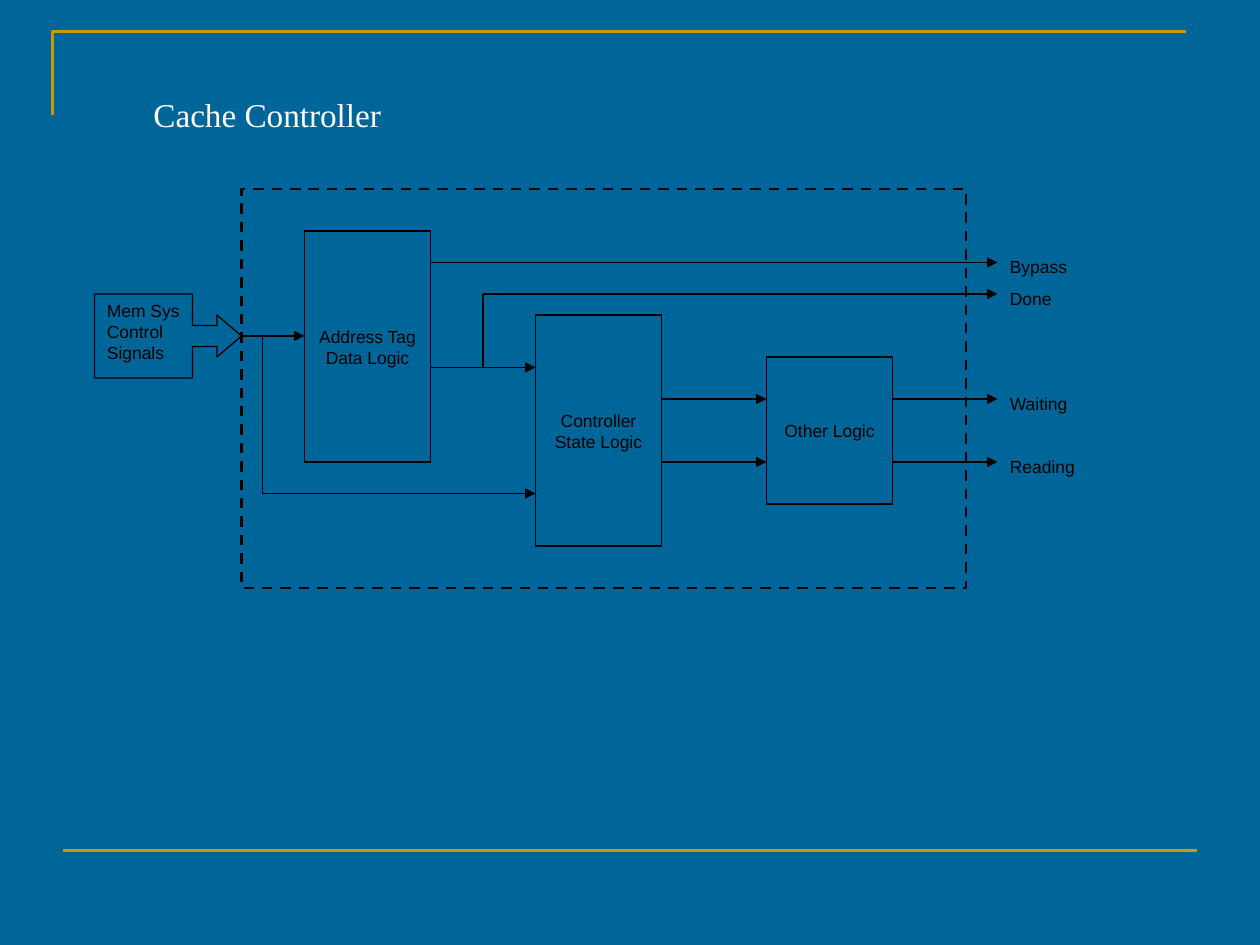
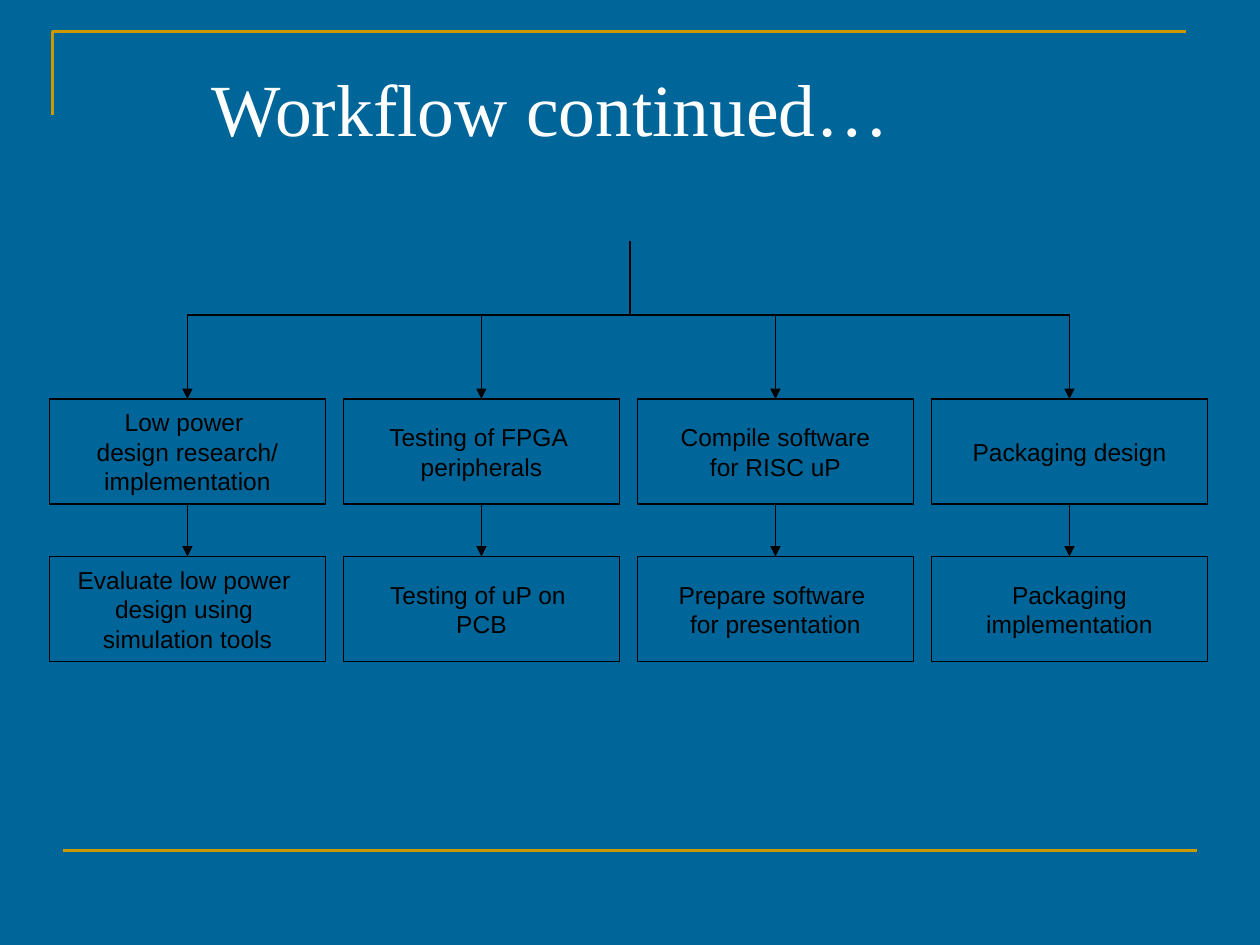
from pptx import Presentation
from pptx.dml.color import RGBColor
from pptx.enum import dml, shapes, text
from pptx.oxml import ns, xmlchemy
from pptx.util import Pt

COLORS = {"background": "006699", "frame": "CC9900", "ink": "000000", "title": "FFFFFF"}
SLIDE_SIZE = (720, 540)

# Boxes are (left, top, width, height); wires are (from x, from y, to x, to y).
CONTROLLER_TITLE = ("Cache Controller", (80.5, 52, 248, 36), 19)
CONTROLLER_BOUNDARY = (138, 108, 414, 228)
SIGNAL_SOURCE = ("Mem Sys Control Signals", (54, 168, 84, 48), (0.25, 0.25, 0.292, 0.667))
LOGIC_BLOCKS = [
    ("Address Tag Data Logic", (174, 132, 72, 132)),
    ("Controller State Logic", (306, 180, 72, 132)),
    ("Other Logic", (438, 204, 72, 84)),
]
PLAIN_WIRES = [(150, 192, 150, 282), (276, 168, 276, 210)]
ARROW_WIRES = [
    (138, 192, 174, 192),
    (246, 210, 306, 210),
    (150, 282, 306, 282),
    (378, 228, 438, 228),
    (378, 264, 438, 264),
]
OUTPUT_END = 570
OUTPUT_LABEL_SIZE = (60, 19.5)
OUTPUTS = [  # label, wire start, wire height
    ("Bypass", 246, 150),
    ("Done", 276, 168),
    ("Waiting", 510, 228),
    ("Reading", 510, 264),
]

WORKFLOW_TITLE = ("Workflow continued…", (113.75, 36, 468, 54), 42)
WORKFLOW_COLUMNS = [
    ("Low power \ndesign research/\nimplementation",
     "Evaluate low power \ndesign using \nsimulation tools"),
    ("Testing of FPGA \nperipherals", "Testing of uP on \nPCB"),
    ("Compile software\nfor RISC uP", "Prepare software \nfor presentation"),
    ("Packaging design", "Packaging\nimplementation"),
]
STEP_SIZE = (157.75, 60)
STEP_ORIGIN = (28.25, 228)
STEP_PITCH = (168, 90)
TRUNK = (360, 180, 360, 138)


def points(values):
    return [Pt(value) for value in values]


def rgb(name):
    return RGBColor.from_string(COLORS[name])


def write(shape, content, size, font="Arial", color="ink", align=text.PP_ALIGN.LEFT,
          anchor=text.MSO_ANCHOR.TOP, wrap=True, spacing=None):
    """Fill a shape with one paragraph for each line of content."""
    frame = shape.text_frame
    frame.text = content
    frame.word_wrap = wrap
    frame.auto_size = text.MSO_AUTO_SIZE.NONE
    frame.vertical_anchor = anchor
    for paragraph in frame.paragraphs:
        paragraph.alignment = align
        paragraph.line_spacing = spacing
        for run in paragraph.runs:
            run.font.name = font
            run.font.size = Pt(size)
            run.font.color.rgb = rgb(color)


def outline(shape, color="ink", width=0.75):
    shape.line.color.rgb = rgb(color)
    shape.line.width = Pt(width)


def add_box(slide, box, kind=shapes.MSO_SHAPE.RECTANGLE, width=0.75):
    shape = slide.shapes.add_shape(kind, *points(box))
    shape.shadow.inherit = False
    shape.fill.background()
    outline(shape, width=width)
    return shape


def add_block(slide, content, box, size, wrap=True):
    block = add_box(slide, box)
    write(block, content, size, align=text.PP_ALIGN.CENTER,
          anchor=text.MSO_ANCHOR.MIDDLE, wrap=wrap)
    return block


def add_wire(slide, ends, arrow=False, kind=shapes.MSO_CONNECTOR.STRAIGHT,
             color="ink", width=0.75):
    wire = slide.shapes.add_connector(kind, *points(ends))
    outline(wire, color, width)
    properties = wire.element.spPr
    if arrow:
        head = xmlchemy.OxmlElement("a:tailEnd")
        head.set("type", "triangle")
        properties.find(ns.qn("a:ln")).append(head)
    properties.append(xmlchemy.OxmlElement("a:effectLst"))
    return wire


def move_to_master(presentation, frame_parts):
    for shape_id, part in enumerate(frame_parts, start=101):
        part.element.xpath(".//p:cNvPr")[0].set("id", str(shape_id))
        presentation.slide_master.shapes.element.append(part.element)


def add_frame(presentation, slide):
    """Draw the gold corner and footer line once, for every slide."""
    builder = slide.shapes.build_freeform(Pt(30), Pt(66), scale=1.0)
    builder.add_line_segments([points((30, 18)), points((678, 18))], close=False)
    corner = builder.convert_to_shape()
    corner.shadow.inherit = False
    corner.fill.background()
    outline(corner, "frame", 1.5)
    footer = add_wire(slide, (36, 486, 684, 486), color="frame", width=1.5)
    move_to_master(presentation, [corner, footer])


def add_slide(presentation, title, box, size):
    slide = presentation.slides.add_slide(presentation.slide_layouts[5])
    heading = slide.shapes.title
    heading.left, heading.top, heading.width, heading.height = points(box)
    write(heading, title, size, font="Times New Roman", color="title", spacing=0.95)
    return slide


def draw_controller(slide):
    boundary = add_box(slide, CONTROLLER_BOUNDARY, width=1.5)
    boundary.line.dash_style = dml.MSO_LINE.DASH
    for label, box in LOGIC_BLOCKS:
        add_block(slide, label, box, 10)
    for ends in PLAIN_WIRES:
        add_wire(slide, ends)
    for ends in ARROW_WIRES:
        add_wire(slide, ends, arrow=True)
    for label, start, height in OUTPUTS:
        add_wire(slide, (start, height, OUTPUT_END, height), arrow=True)
        label_box = slide.shapes.add_textbox(
            *points((OUTPUT_END, height - 7, *OUTPUT_LABEL_SIZE)))
        write(label_box, label, 10)
    label, box, adjustments = SIGNAL_SOURCE
    source = add_box(slide, box, shapes.MSO_SHAPE.RIGHT_ARROW_CALLOUT)
    for index, value in enumerate(adjustments):
        source.adjustments[index] = value
    write(source, label, 10)


def draw_workflow(slide):
    add_wire(slide, TRUNK)
    fork_x, fork_y = TRUNK[:2]
    width, height = STEP_SIZE
    for column, labels in enumerate(WORKFLOW_COLUMNS):
        left = STEP_ORIGIN[0] + column * STEP_PITCH[0]
        center = left + width / 2
        tops = [STEP_ORIGIN[1] + row * STEP_PITCH[1] for row in range(len(labels))]
        first, second = [add_block(slide, label, (left, top, width, height), 14, wrap=False)
                         for label, top in zip(labels, tops)]
        branch = add_wire(slide, (fork_x, fork_y, center, tops[0]), arrow=True,
                          kind=shapes.MSO_CONNECTOR.ELBOW)
        branch.element.spPr.find(ns.qn("a:prstGeom")).set("prst", "bentConnector2")
        branch.end_connect(first, 0)
        link = add_wire(slide, (center, tops[0] + height, center, tops[1]), arrow=True)
        link.begin_connect(first, 2)
        link.end_connect(second, 0)


def main():
    presentation = Presentation()
    presentation.slide_width, presentation.slide_height = points(SLIDE_SIZE)
    background = presentation.slide_master.background.fill
    background.solid()
    background.fore_color.rgb = rgb("background")

    controller = add_slide(presentation, *CONTROLLER_TITLE)
    add_frame(presentation, controller)
    draw_controller(controller)
    draw_workflow(add_slide(presentation, *WORKFLOW_TITLE))
    presentation.save("out.pptx")


if __name__ == "__main__":
    main()
